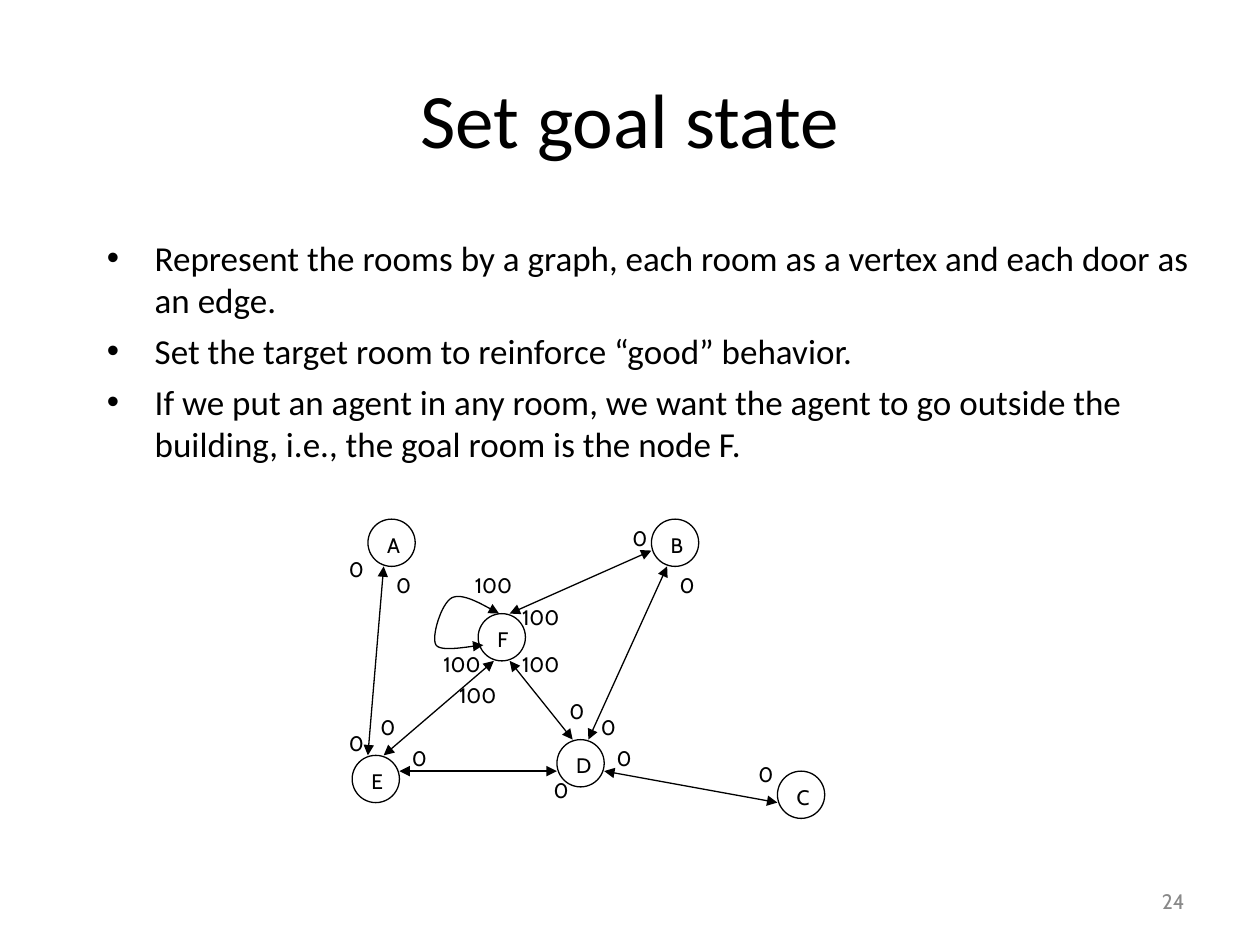
from dataclasses import dataclass

from lxml import etree
from pptx import Presentation
from pptx.dml.color import RGBColor
from pptx.enum.shapes import MSO_CONNECTOR, MSO_SHAPE
from pptx.enum.text import MSO_ANCHOR, PP_ALIGN
from pptx.oxml.ns import qn
from pptx.util import Inches, Pt

OVAL, RECT = MSO_SHAPE.OVAL, MSO_SHAPE.RECTANGLE
STRAIGHT = MSO_CONNECTOR.STRAIGHT
TOP, MIDDLE = MSO_ANCHOR.TOP, MSO_ANCHOR.MIDDLE
LEFT, CENTER, RIGHT = PP_ALIGN.LEFT, PP_ALIGN.CENTER, PP_ALIGN.RIGHT

COLORS = {"ink": "000000", "paper": "FFFFFF", "muted": "898989"}
WIDTH, HEIGHT = Inches(10), Inches(7.5)

# The graph lies on a grid of eighths of an inch.
CELL = Inches(0.125)
GRID_LEFT, GRID_TOP = Inches(2.67), Inches(4.12)
NODE_CELLS = 3
CURVE_STEPS = 16

Point = tuple[float, float]


@dataclass(frozen=True)
class TextStyle:
    size: float
    font: str
    color: str = "ink"
    align: PP_ALIGN = LEFT
    anchor: MSO_ANCHOR = TOP


@dataclass(frozen=True)
class Frame:
    """Position and size as shares of the slide."""
    left: float
    top: float
    width: float
    height: float


@dataclass(frozen=True)
class Node:
    name: str
    column: int
    row: int


@dataclass(frozen=True)
class Reward:
    value: str
    column: int
    row: int


@dataclass(frozen=True)
class Door:
    start: Point
    end: Point


TITLE = TextStyle(44, "Calibri", align=CENTER, anchor=MIDDLE)
BODY = TextStyle(20, "Calibri")
NUMBER = TextStyle(12, "Cabin", "muted", RIGHT, MIDDLE)
GRAPH = TextStyle(12, "Cabin")

POINTS = [
    "Represent the rooms by a graph, each room as a vertex and each door as an edge.",
    "Set the target room to reinforce “good” behavior.",
    "If we put an agent in any room, we want the agent to go outside the building, "
    "i.e., the goal room is the node F.",
]
NODES = [Node("A", 2, 0), Node("E", 1, 15), Node("B", 20, 0),
         Node("D", 14, 14), Node("F", 9, 6), Node("C", 28, 16)]
REWARD_CELLS = {"0": (3, 3), "100": (4, 2)}
REWARD_PLACES = {
    "0": [(3, 3), (0, 2), (0, 13), (2, 12), (4, 14), (13, 16),
          (14, 11), (16, 12), (17, 14), (26, 15), (21, 3), (18, 0)],
    "100": [(7, 10), (6, 8), (8, 3), (11, 5), (11, 8)],
}
REWARDS = [Reward(value, *place)
           for value, places in REWARD_PLACES.items() for place in places]
DOORS = [
    Door((3, 3), (2, 15)),
    Door((3, 15), (10, 9)),
    Door((11, 9), (15, 14)),
    Door((11, 6), (20, 2)),
    Door((21, 3), (16, 14)),
    Door((4, 16), (14, 16)),
    Door((17, 16), (28, 18)),
]
GOAL_LOOP = [(10.33, 6), (9.11, 5.33), (8, 4.67), (7.33, 5), (6.67, 5.33),
             (6, 7.5), (6.33, 8), (6.67, 8.5), (8.83, 8), (9.33, 8)]


def rgb(name: str) -> RGBColor:
    return RGBColor.from_string(COLORS[name])


def grid(point: Point) -> tuple[int, int]:
    """Turn a column and row into slide lengths."""
    column, row = point
    return round(GRID_LEFT + column * CELL), round(GRID_TOP + row * CELL)


def write(shape, lines: list[str], style: TextStyle, bulleted: bool = False) -> None:
    frame = shape.text_frame
    frame.word_wrap = True
    frame.vertical_anchor = style.anchor
    for index, line in enumerate(lines):
        para = frame.paragraphs[0] if index == 0 else frame.add_paragraph()
        para.alignment = style.align
        if bulleted:
            add_bullet(para)
            para.space_before = Pt(5 if index else 0)
        span = para.add_run()
        span.text = line
        settings = {"size": Pt(style.size), "name": style.font}
        for key, value in settings.items():
            setattr(span.font, key, value)
        span.font.color.rgb = rgb(style.color)


def add_bullet(para) -> None:
    indent = Inches(0.38)
    properties = para._p.get_or_add_pPr()
    properties.set("marL", str(indent))
    properties.set("indent", str(-indent))
    color = etree.SubElement(properties, qn("a:buClr"))
    etree.SubElement(color, qn("a:srgbClr"), val=COLORS["ink"])
    etree.SubElement(properties, qn("a:buFont"), typeface="Arial")
    etree.SubElement(properties, qn("a:buChar"), char="•")


def add_text(page, place: Frame, lines: list[str], style: TextStyle,
             bulleted: bool = False) -> None:
    box = page.shapes.add_textbox(
        round(place.left * WIDTH), round(place.top * HEIGHT),
        round(place.width * WIDTH), round(place.height * HEIGHT))
    write(box, lines, style, bulleted)


def outline(shape, arrows: bool = False) -> None:
    shape.line.color.rgb = rgb("ink")
    shape.line.width = Pt(0.75)
    if arrows:
        for tag in ("a:headEnd", "a:tailEnd"):
            etree.SubElement(shape.line._get_or_add_ln(), qn(tag), type="triangle")


def add_cell_shape(graph, kind: MSO_SHAPE, item: Node | Reward,
                   cells: tuple[int, int], text: str):
    """Add a white shape that covers the given columns and rows."""
    columns, rows = cells
    shape = graph.shapes.add_shape(
        kind, *grid((item.column, item.row)), columns * CELL, rows * CELL)
    shape.shadow.inherit = False
    shape.fill.solid()
    shape.fill.fore_color.rgb = rgb("paper")
    shape.line.fill.background()
    write(shape, [text], GRAPH)
    return shape


def add_door(graph, door: Door) -> None:
    line = graph.shapes.add_connector(STRAIGHT, *grid(door.start), *grid(door.end))
    outline(line, arrows=True)
    etree.SubElement(line._element.spPr, qn("a:effectLst"))


def curve_points(controls: list[Point]) -> list[Point]:
    """Sample a chain of cubic Bezier curves, leaving out the first point."""
    points = []
    for first in range(0, len(controls) - 1, 3):
        for step in range(1, CURVE_STEPS + 1):
            t = step / CURVE_STEPS
            weights = ((1 - t) ** 3, 3 * t * (1 - t) ** 2, 3 * t * t * (1 - t), t ** 3)
            part = controls[first:first + 4]
            points.append(tuple(sum(w * p[axis] for w, p in zip(weights, part))
                                for axis in (0, 1)))
    return points


def add_loop(graph, controls: list[Point]) -> None:
    builder = graph.shapes.build_freeform(*grid(controls[0]))
    builder.add_line_segments([grid(point) for point in curve_points(controls)],
                              close=False)
    loop = builder.convert_to_shape()
    loop.shadow.inherit = False
    loop.fill.background()
    outline(loop, arrows=True)


def main() -> None:
    deck = Presentation()
    deck.slide_width, deck.slide_height = WIDTH, HEIGHT
    page = deck.slides.add_slide(deck.slide_layouts[6])
    add_text(page, Frame(0.05, 0.04, 0.9, 0.17), ["Set goal state"], TITLE)
    add_text(page, Frame(0.075, 0.244, 0.883, 0.7), POINTS, BODY, bulleted=True)
    add_text(page, Frame(0.717, 0.927, 0.233, 0.053), ["24"], NUMBER)

    graph = page.shapes.add_group_shape()
    for reward in REWARDS:
        add_cell_shape(graph, RECT, reward, REWARD_CELLS[reward.value], reward.value)
    for node in NODES:
        outline(add_cell_shape(graph, OVAL, node, (NODE_CELLS, NODE_CELLS), node.name))
    for door in DOORS:
        add_door(graph, door)
    add_loop(graph, GOAL_LOOP)
    deck.save("out.pptx")


if __name__ == "__main__":
    main()
